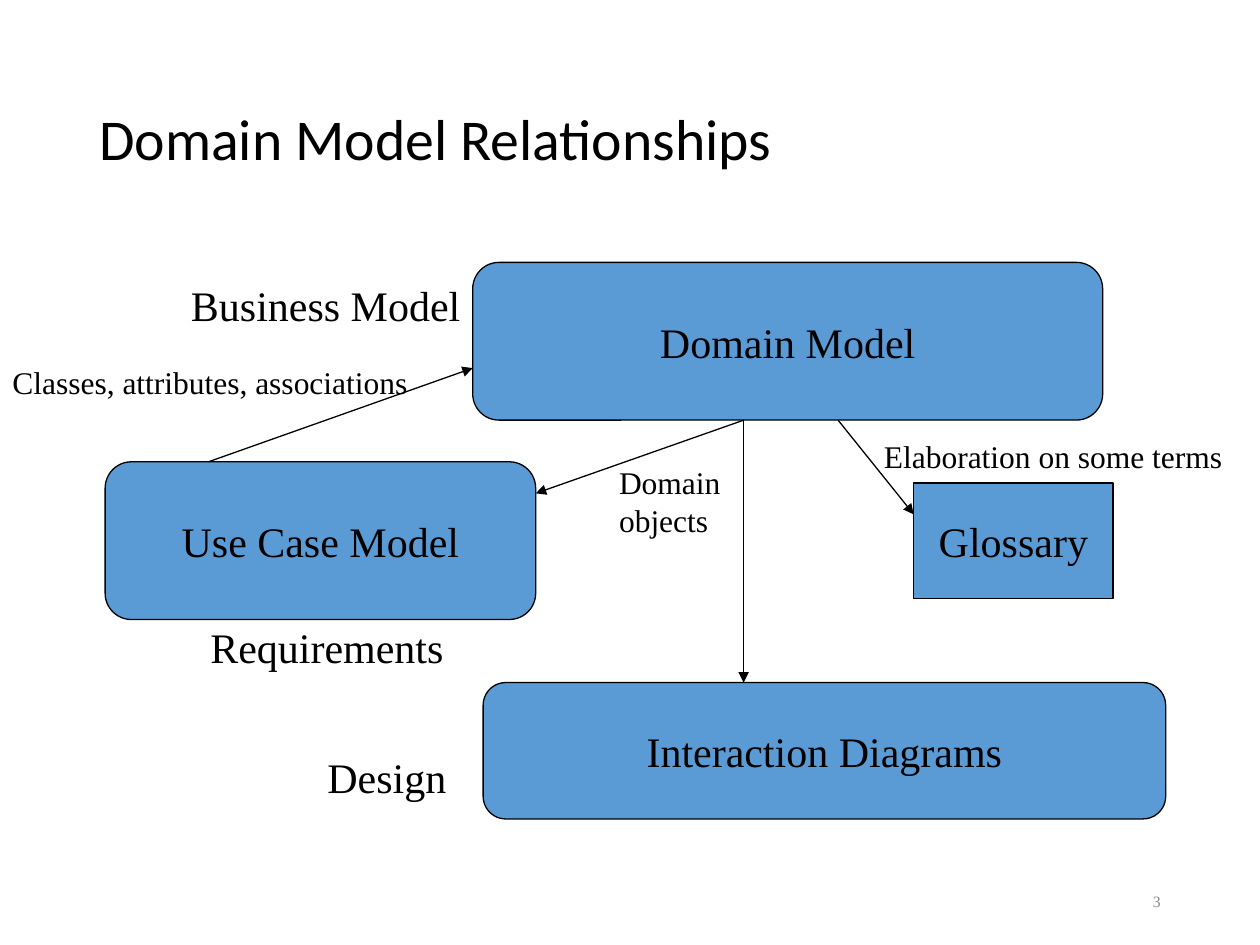
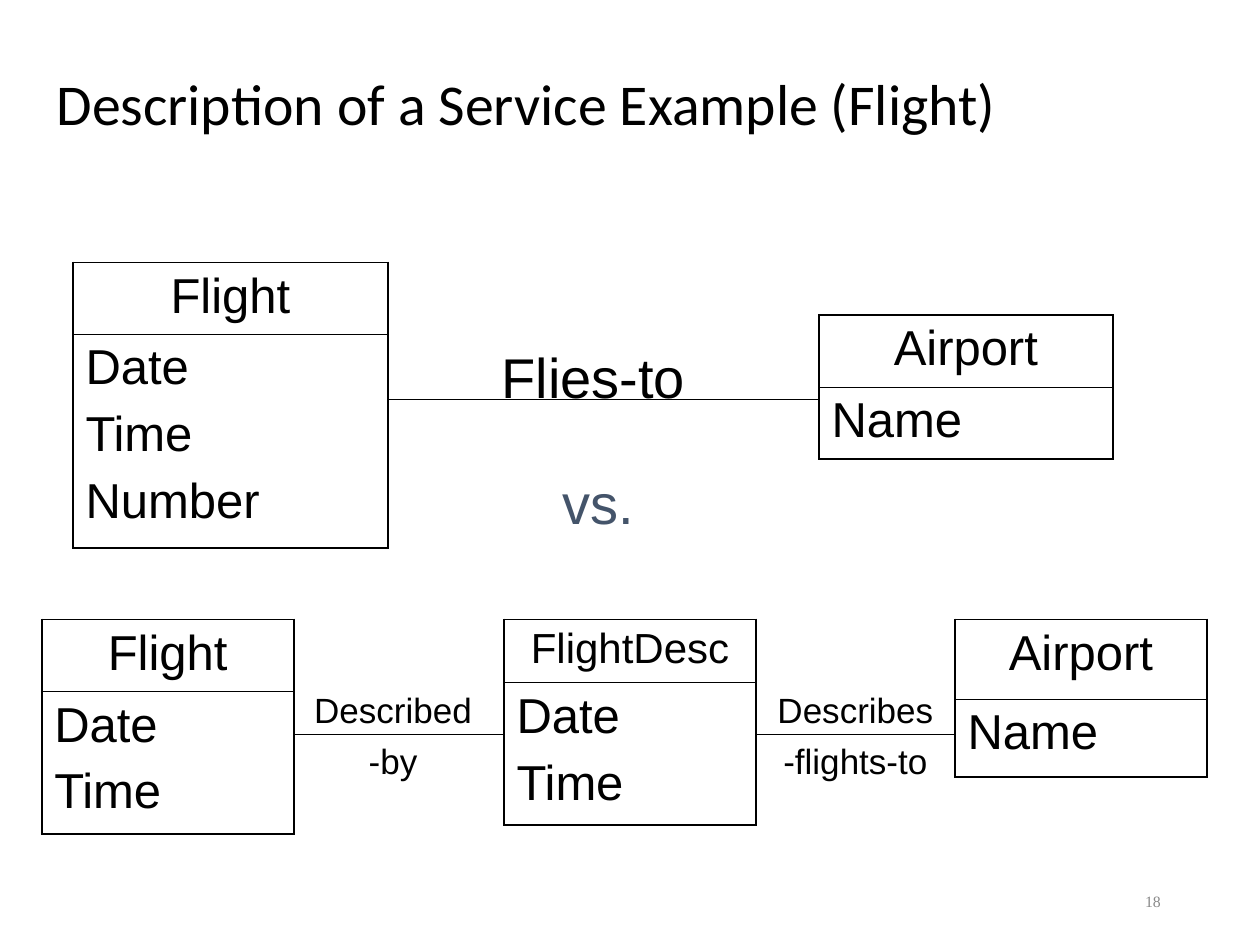
from dataclasses import dataclass

from lxml.etree import SubElement
from pptx import Presentation
from pptx.dml.color import RGBColor
from pptx.enum.shapes import MSO_CONNECTOR, MSO_SHAPE
from pptx.enum.text import MSO_ANCHOR, PP_ALIGN
from pptx.oxml.ns import qn
from pptx.util import Cm, Pt

# Shared colours and text styles
BLACK, BLUE, SLATE, GREY = "000000", "5B9BD5", "44546A", "898989"
TITLE = {"name": "Calibri", "size": Pt(33)}
SERIF = {"name": "Times New Roman", "size": Pt(24)}
SERIF_SMALL = {**SERIF, "size": Pt(18)}
NUMBER = {**SERIF, "size": Pt(9)}
SANS_LARGE = {"name": "Arial", "size": Pt(32)}
SANS = {**SANS_LARGE, "size": Pt(28)}
SANS_HEADER = {**SANS_LARGE, "size": Pt(24)}
SANS_SMALL = {**SANS_LARGE, "size": Pt(20)}


@dataclass
class Box:
    """A rectangle in centimetres."""
    left: float
    top: float
    width: float
    height: float

    def inside(self, left, top, width, height):
        return Box(self.left + left, self.top + top, width, height)

    def point(self, across, down):
        """Point at the given fractions of width and height."""
        return self.left + across * self.width, self.top + down * self.height

    def lengths(self):
        return [Cm(value) for value in (self.left, self.top, self.width, self.height)]


def color(hex_string):
    return RGBColor.from_string(hex_string)


def apply(target, values):
    for name, value in values.items():
        setattr(target, name, value)


def write(frame, text, font, hex_color=BLACK, **paragraph_format):
    """Fill a text frame with one paragraph per line."""
    for index, line in enumerate(text.split("\n")):
        paragraph = frame.paragraphs[0] if index == 0 else frame.add_paragraph()
        apply(paragraph, paragraph_format)
        run = paragraph.add_run()
        run.text = line
        apply(run.font, font)
        run.font.color.rgb = color(hex_color)


def add_text(slide, box, text, font, hex_color=BLACK, anchor=MSO_ANCHOR.TOP,
             **paragraph_format):
    frame = slide.shapes.add_textbox(*box.lengths()).text_frame
    apply(frame, {"word_wrap": True, "vertical_anchor": anchor})
    write(frame, text, font, hex_color, **paragraph_format)


def add_line(slide, start, end, arrow=False):
    line = slide.shapes.add_connector(
        MSO_CONNECTOR.STRAIGHT, *(Cm(value) for value in (*start, *end)))
    line.line.color.rgb = color(BLACK)
    line.line.width = Pt(0.75)
    if arrow:
        SubElement(line.line._get_or_add_ln(), qn("a:tailEnd"), type="triangle")
    SubElement(line._element.spPr, qn("a:effectLst"))


def add_slide(presentation, title, title_box, number):
    """Blank slide with the shared title and slide number."""
    slide = presentation.slides.add_slide(presentation.slide_layouts[6])
    add_text(slide, title_box, title, TITLE, anchor=MSO_ANCHOR.MIDDLE, line_spacing=0.9)
    add_text(slide, Box(17.93, 17.65, 5.72, 1.02), number, NUMBER, GREY,
             MSO_ANCHOR.MIDDLE, alignment=PP_ALIGN.RIGHT)
    return slide


# Domain model diagram
def add_model(slide, box, name, preset=MSO_SHAPE.ROUNDED_RECTANGLE):
    shape = slide.shapes.add_shape(preset, *box.lengths())
    shape.shadow.inherit = False
    shape.fill.solid()
    shape.fill.fore_color.rgb = color(BLUE)
    shape.line.color.rgb = color(BLACK)
    shape.line.width = Pt(0.75)
    apply(shape.text_frame, {"word_wrap": False, "vertical_anchor": MSO_ANCHOR.MIDDLE})
    write(shape.text_frame, name, SERIF, alignment=PP_ALIGN.CENTER)


def draw_relationships(slide, region):
    domain = region.inside(9.53, 0, 12.7, 3.18)
    use_case = region.inside(2.12, 4.02, 8.68, 3.18)
    interaction = region.inside(9.74, 8.47, 13.76, 2.75)
    glossary = region.inside(18.42, 4.45, 4.02, 2.33)
    add_model(slide, domain, "Domain Model")
    add_model(slide, use_case, "Use Case Model")
    add_model(slide, interaction, "Interaction Diagrams")
    add_model(slide, glossary, "Glossary", MSO_SHAPE.RECTANGLE)

    # Arrows between the models
    domain_exit = domain.point(0.43, 1)
    for start, end in (
        (use_case.point(0.24, 0), domain.point(0, 0.67)),
        (domain_exit, use_case.point(1, 0.2)),
        (domain_exit, (domain_exit[0], interaction.top)),
        (domain.point(0.58, 1), glossary.point(0, 0.27)),
    ):
        add_line(slide, start, end, arrow=True)

    # Discipline names and arrow labels, each wide enough for its lines
    for text, font, place in (
        ("Business Model", SERIF, (3.6, 0.21, 6.5, 1.27)),
        ("Requirements", SERIF, (3.99, 7.11, 5.8, 1.27)),
        ("Design", SERIF, (6.35, 9.74, 3.3, 1.27)),
        ("Classes, attributes, associations", SERIF_SMALL, (0, 1.9, 9, 1.02)),
        ("Domain\nobjects", SERIF_SMALL, (12.23, 3.92, 2.75, 1.78)),
        ("Elaboration on some terms", SERIF_SMALL, (17.57, 3.39, 7.75, 1.02)),
    ):
        add_text(slide, region.inside(*place), text, font)


# Flight class diagrams
def set_borders(cell, widths):
    properties = cell._tc.get_or_add_tcPr()
    for side, width in zip("LRTB", widths):
        border = SubElement(properties, qn(f"a:ln{side}"), w=str(Pt(width)))
        fill = SubElement(border, qn("a:solidFill"))
        SubElement(fill, qn("a:srgbClr"), val=BLACK)


def add_class(slide, region, left, top, width, heights, name, attributes, header_font=SANS):
    """Two-row class table; returns the box it fills."""
    box = region.inside(left, top, width, sum(heights))
    table = slide.shapes.add_table(2, 1, *box.lengths()).table
    apply(table, {"first_row": False, "horz_banding": False})
    outer, inner = 1.08, 0.45
    rows = (
        (name, header_font, PP_ALIGN.CENTER, (outer, outer, outer, inner)),
        (attributes, SANS, PP_ALIGN.LEFT, (outer, outer, inner, outer)),
    )
    for index, (text, font, alignment, borders) in enumerate(rows):
        table.rows[index].height = Cm(heights[index])
        cell = table.cell(index, 0)
        set_borders(cell, borders)
        cell.fill.background()
        write(cell.text_frame, text, font, alignment=alignment,
              space_before=font["size"] // 4)
    return box


def associate(slide, source, target, height):
    """Horizontal association between two class boxes."""
    add_line(slide, (source.left + source.width, height), (target.left, height))


def add_label(slide, box, text, font, hex_color=BLACK):
    add_text(slide, box, text, font, hex_color,
             alignment=PP_ALIGN.CENTER, space_before=font["size"] // 4)


def draw_direct_flight(slide, region):
    flight = add_class(slide, region, 0, 0, 6.35, (1.45, 4.3), "Flight", "Date\nTime\nNumber")
    airport = add_class(slide, region, 15.04, 1.06, 5.92, (1.45, 1.45), "Airport", "Name")
    associate(slide, flight, airport, region.top + 2.76)
    add_label(slide, region.inside(6.15, 1.49, 8.69, 2.11), "Flies-to", SANS_LARGE)
    add_label(slide, region.inside(8.06, 4.03, 5.08, 2.11), "vs.", SANS_LARGE, SLATE)


def draw_described_flight(slide, region):
    flight = add_class(slide, region, 0, 0, 5.08, (1.45, 2.87), "Flight", "Date\nTime")
    description = add_class(slide, region, 9.32, 0, 5.08, (1.27, 2.87),
                            "FlightDesc", "Date\nTime", SANS_HEADER)
    airport = add_class(slide, region, 18.41, 0, 5.08, (1.6, 1.57), "Airport", "Name")
    for source, target, text in (
        (flight, description, "Described\n-by"),
        (description, airport, "Describes\n-flights-to"),
    ):
        associate(slide, source, target, region.top + 2.31)
        add_label(slide, source.inside(source.width, 1.27, 4.01, 2.11), text, SANS_SMALL)


def main():
    presentation = Presentation()
    apply(presentation, {"slide_width": Cm(25.4), "slide_height": Cm(19.05)})

    slide = add_slide(presentation, "Domain Model Relationships",
                      Box(1.75, 1.02, 21.92, 3.68), "3")
    draw_relationships(slide, Box(0, 5.29, 25.4, 11.22))

    slide = add_slide(presentation, "Description of a Service Example (Flight)",
                      Box(0.89, 0.15, 20.29, 3.99), "18")
    draw_direct_flight(slide, Box(1.47, 5.29, 20.96, 5.75))
    draw_described_flight(slide, Box(0.84, 12.49, 23.49, 4.32))

    presentation.save("out.pptx")


if __name__ == "__main__":
    main()
